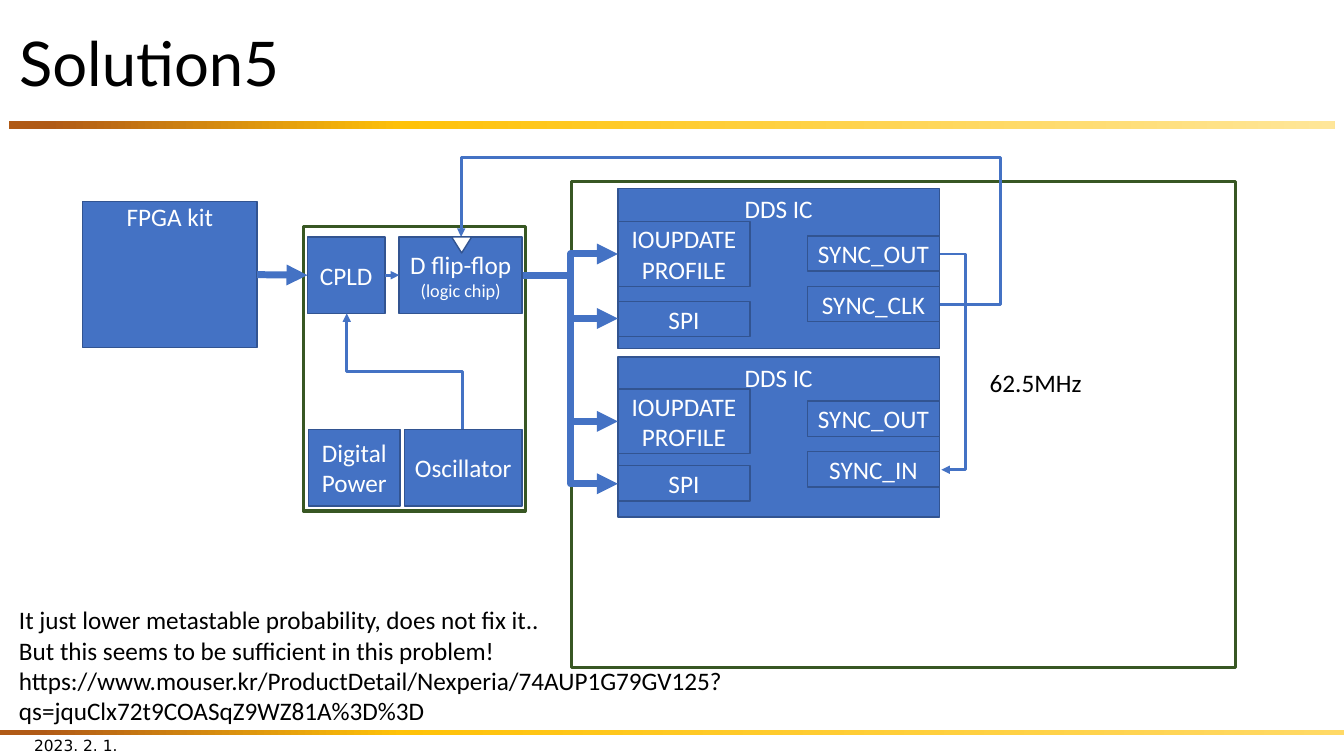
from copy import deepcopy

from pptx import Presentation
from pptx.dml.color import RGBColor
from pptx.enum.shapes import MSO_CONNECTOR, MSO_SHAPE
from pptx.enum.text import MSO_ANCHOR, PP_ALIGN
from pptx.oxml.ns import qn
from pptx.util import Inches, Pt

RECTANGLE = MSO_SHAPE.RECTANGLE
TRIANGLE = MSO_SHAPE.ISOSCELES_TRIANGLE
STRAIGHT, ELBOW = MSO_CONNECTOR.STRAIGHT, MSO_CONNECTOR.ELBOW
TOP, MIDDLE = MSO_ANCHOR.TOP, MSO_ANCHOR.MIDDLE
LEFT, CENTER = PP_ALIGN.LEFT, PP_ALIGN.CENTER
SIDE_LEFT, SIDE_RIGHT = 1, 3

BLACK = RGBColor(0x00, 0x00, 0x00)
WHITE = RGBColor(0xFF, 0xFF, 0xFF)
BLUE = RGBColor(0x44, 0x72, 0xC4)
BLUE_EDGE = RGBColor(0x32, 0x54, 0x91)
GREEN = RGBColor(0x38, 0x57, 0x23)
BROWN = RGBColor(0xB0, 0x5A, 0x16)
GOLD = RGBColor(0xFF, 0xC2, 0x08)
PALE_GOLD = RGBColor(0xFF, 0xE6, 0x99)
SOFT_GOLD = RGBColor(0xFF, 0xD9, 0x66)

COLUMNS, ROWS = 160, 90


def write_text(shape, *lines, size=18, font="Calibri", color=BLACK, align=LEFT,
               anchor=TOP, wrap=True, side_inset=0.1, top_inset=0.05,
               spacing=None, last_size=None):
    """Fill a shape with one paragraph per line; last_size resizes the last one."""
    frame = shape.text_frame
    frame.word_wrap = wrap
    frame.vertical_anchor = anchor
    frame.margin_left = frame.margin_right = Inches(side_inset)
    frame.margin_top = Inches(top_inset)
    frame.text = "\n".join(lines)
    for paragraph in frame.paragraphs:
        paragraph.alignment = align
        paragraph.line_spacing = spacing
        paragraph.font.size = Pt(size)
        paragraph.font.name = font
        paragraph.font.color.rgb = color
    if last_size:
        frame.paragraphs[-1].font.size = Pt(last_size)


class Diagram:
    """Draws on one slide; lengths are columns and rows of a 160 by 90 grid."""

    def __init__(self, presentation):
        self.column = presentation.slide_width / COLUMNS
        self.row = presentation.slide_height / ROWS
        self.shapes = presentation.slides.add_slide(presentation.slide_layouts[6]).shapes

    def place(self, *lengths):
        """Turn alternating columns and rows into slide lengths."""
        return [round(length * (self.row if index % 2 else self.column))
                for index, length in enumerate(lengths)]

    def text(self, area, *lines, **text_format):
        box = self.shapes.add_textbox(*self.place(*area))
        write_text(box, *lines, **text_format)

    def shape(self, area, kind=RECTANGLE, fill=None, edge=None, edge_width=1):
        shape = self.shapes.add_shape(kind, *self.place(*area))
        shape.shadow.inherit = False
        if fill is None:
            shape.fill.background()
        else:
            shape.fill.solid()
            shape.fill.fore_color.rgb = fill
        if edge is None:
            shape.line.fill.background()
        else:
            shape.line.color.rgb = edge
            shape.line.width = Pt(edge_width)
        return shape

    def block(self, area, *lines, anchor=MIDDLE, **text_format):
        block = self.shape(area, fill=BLUE, edge=BLUE_EDGE)
        write_text(block, *lines, color=WHITE, align=CENTER, anchor=anchor,
                   side_inset=0.02, **text_format)
        return block

    def board(self, area):
        self.shape(area, edge=GREEN, edge_width=2.25)

    def gradient_bar(self, area, end_color):
        bar = self.shape(area)
        bar.fill.gradient()
        bar.fill.gradient_angle = 0
        stop_list = bar.element.spPr.find(qn("a:gradFill")).find(qn("a:gsLst"))
        stop_list.append(deepcopy(stop_list[0]))
        colors = ((0.03, BROWN), (0.3, GOLD), (1, end_color))
        for stop, (position, color) in zip(bar.fill.gradient_stops, colors):
            stop.position = position
            stop.color.rgb = color

    def arrow(self, start, end, kind=ELBOW, width=2, preset=None, bends=(), turn=0):
        """Add an arrow; bends are shares of its box, turn is in degrees."""
        arrow = self.shapes.add_connector(kind, *self.place(*start, *end))
        arrow.line.color.rgb = BLUE
        arrow.line.width = Pt(width)
        properties = arrow.element.spPr
        line = properties.find(qn("a:ln"))
        head = line.makeelement(qn("a:tailEnd"), {"type": "triangle"})
        line.append(head)
        properties.append(properties.makeelement(qn("a:effectLst"), {}))
        geometry = properties.find(qn("a:prstGeom"))
        if preset:
            geometry.set("prst", preset)
        guides = geometry.find(qn("a:avLst"))
        for number, bend in enumerate(bends, 1):
            guides.append(guides.makeelement(qn("a:gd"), {
                "name": f"adj{number}", "fmla": f"val {round(bend * 100000)}"}))
        if turn:
            properties.find(qn("a:xfrm")).set("rot", str(turn * 60000))
        return arrow

    def join(self, source, target, start, end, width):
        """Join the right side of one block to the left side of the next."""
        arrow = self.arrow(start, end, kind=STRAIGHT, width=width)
        arrow.begin_connect(source, SIDE_RIGHT)
        arrow.end_connect(target, SIDE_LEFT)


def draw_synthesizers(diagram):
    chip_left, pin_left, pin_width, pin_height = 73.56, 96.12, 15.72, 4.2
    # Rows of: chip, update block, serial block, output pin, clock pin
    chips = ((22.44, 26.4, 35.88, 28.08, 34.08, "SYNC_CLK"),
             (42.48, 46.32, 55.44, 47.76, 53.76, "SYNC_IN"))
    for chip, update, serial, output, clock, clock_name in chips:
        diagram.block((chip_left, chip, 38.28, 19.08), "DDS IC", anchor=TOP)
        diagram.block((chip_left, update, pin_width, 7.68), "IOUPDATE", "PROFILE")
        for left, top, name in ((chip_left, serial, "SPI"),
                                (pin_left, output, "SYNC_OUT"),
                                (pin_left, clock, clock_name)):
            diagram.block((left, top, pin_width, pin_height), name)


def draw_logic_board(diagram):
    controller = diagram.block((9.84, 24, 20.76, 17.4), "FPGA kit", anchor=TOP, top_inset=0)
    diagram.board((36.12, 27, 26.4, 33.84))
    cpld = diagram.block((36.6, 28.2, 9.24, 9.12), "CPLD")
    flip_flop = diagram.block((47.52, 28.2, 14.64, 9.12),
                              "D flip-flop", "(logic chip)", last_size=13)
    diagram.block((36.72, 51.12, 10.92, 9.12), "Digital", "Power")
    diagram.block((48.12, 51.12, 14.04, 9.12), "Oscillator")
    diagram.join(controller, cpld, (30.6, 32.7), (36.6, 32.76), width=5)
    diagram.join(cpld, flip_flop, (45.84, 32.76), (47.52, 32.76), width=2)


def draw_signals(diagram):
    for row in (30.24, 37.92, 50.16, 57.6):
        diagram.arrow((62.28, 32.76), (73.56, row), width=5)
    diagram.arrow((41.28, 51.12), (55.08, 37.32), turn=270)
    diagram.arrow((111.96, 30.24), (112.08, 55.92), bends=(25,))
    diagram.arrow((111.96, 36.24), (54.9, 28.2), preset="bentConnector4",
                  bends=(-0.126, 2.18))
    clock_mark = diagram.shape((53.76, 28.2, 2.4, 1.92), TRIANGLE, WHITE, BLUE_EDGE)
    clock_mark.rotation = 180


def main():
    presentation = Presentation()
    presentation.slide_width = Inches(13.33)
    presentation.slide_height = Inches(7.5)
    diagram = Diagram(presentation)

    diagram.gradient_bar((1.08, 14.4, 157.8, 0.96), PALE_GOLD)
    diagram.gradient_bar((0, 86.88, 160, 0.6), SOFT_GOLD)
    diagram.text((1.08, 2.04, 157.8, 11.76), "Solution5", size=44, font="Lato",
                 anchor=MIDDLE, spacing=0.9)
    diagram.text((2.88, 86.28, 36, 4.8), "2023. 2. 1.", size=11,
                 font="DejaVu Sans", anchor=MIDDLE)

    draw_synthesizers(diagram)
    diagram.board((68.04, 21.6, 79.08, 57.84))
    draw_logic_board(diagram)
    draw_signals(diagram)

    diagram.text((116.64, 43.08, 13.44, 4.8), "62.5MHz", wrap=False)
    diagram.text((1.08, 71.4, 130.68, 15.72),
                 "It just lower metastable probability, does not fix it..",
                 "But this seems to be sufficient in this problem!",
                 "https://www.mouser.kr/ProductDetail/Nexperia/74AUP1G79GV125?"
                 "qs=jquClx72t9COASqZ9WZ81A%3D%3D")
    presentation.save("out.pptx")


if __name__ == "__main__":
    main()
